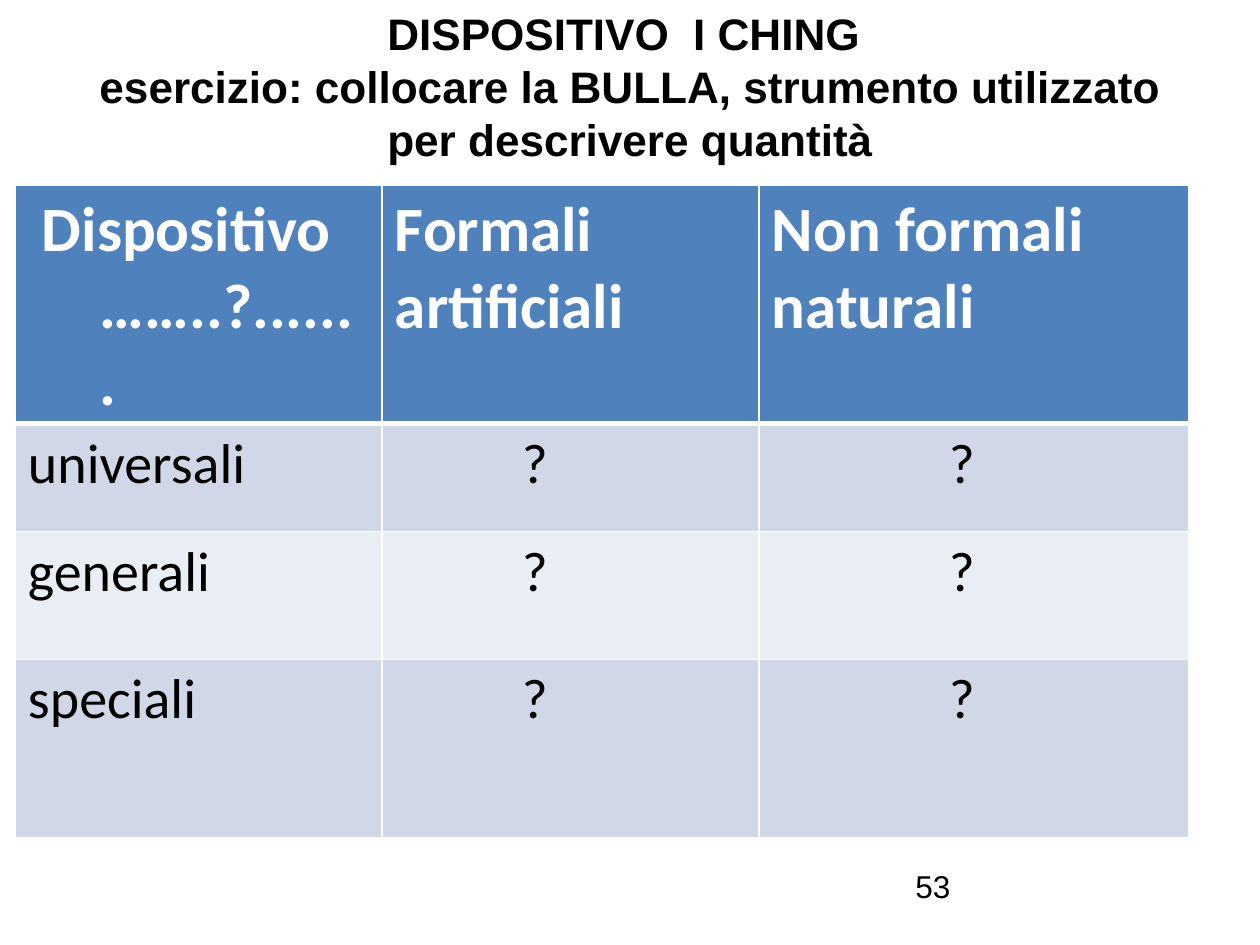
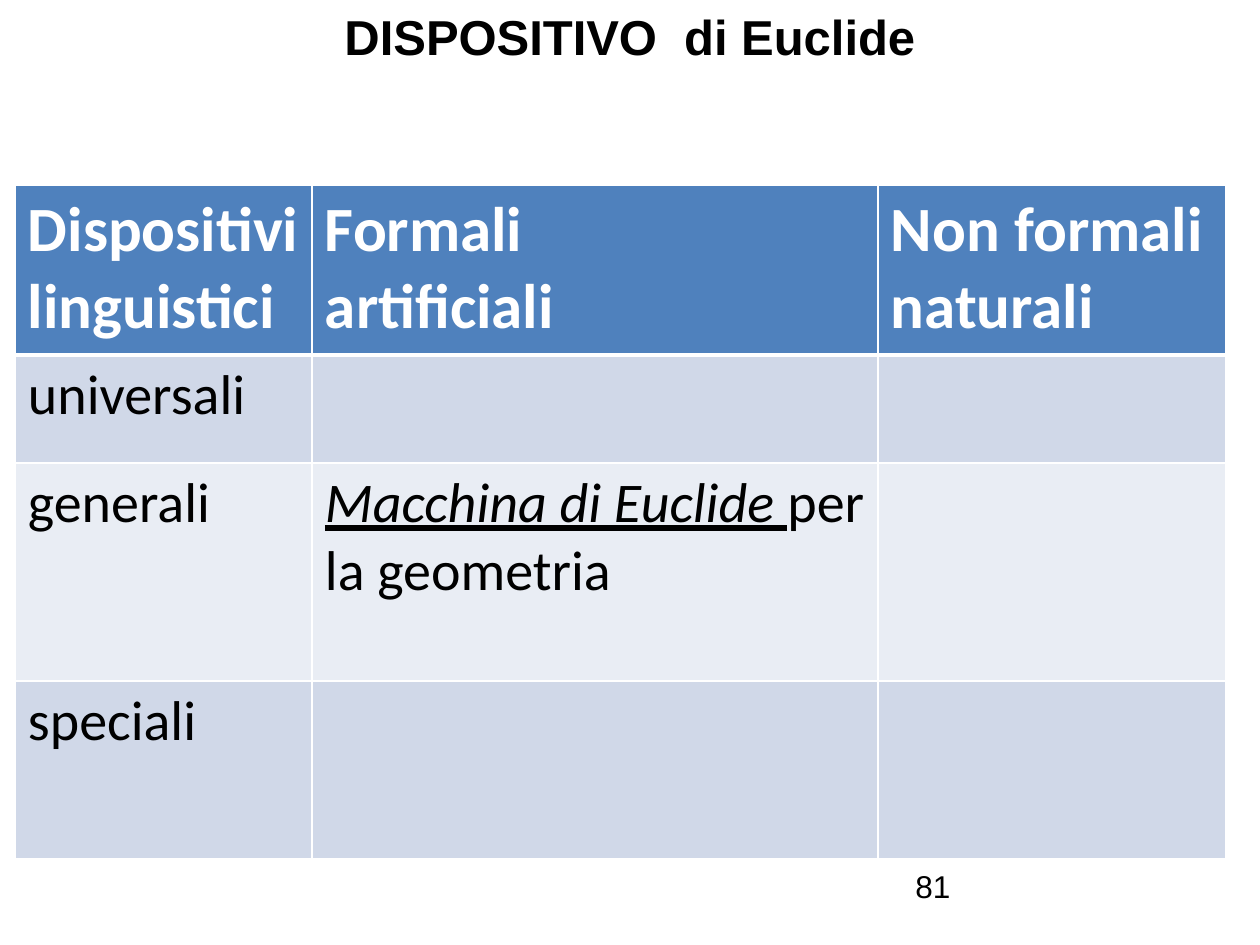
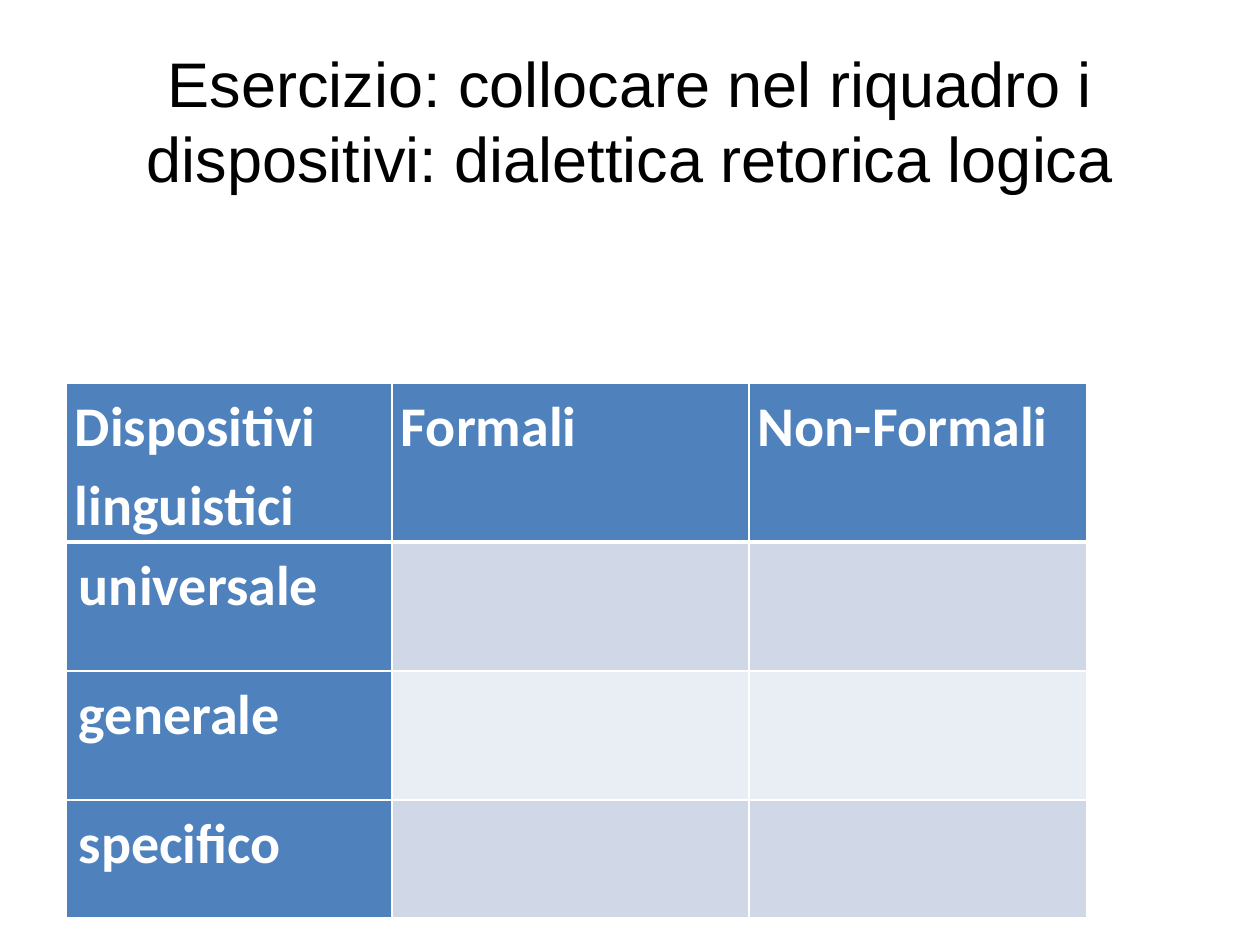
from lxml import etree
from pptx import Presentation
from pptx.dml.color import RGBColor
from pptx.enum.text import MSO_ANCHOR, PP_ALIGN
from pptx.oxml.ns import qn
from pptx.util import Emu, Pt

TOP = MSO_ANCHOR.TOP
LEFT, CENTER = PP_ALIGN.LEFT, PP_ALIGN.CENTER
BLACK, WHITE, BLUE = "000000", "FFFFFF", "4F81BD"
BANDS = ["D0D8E8", "E9EDF4"]
EMPHASIS = "Macchina di Euclide "


def px(length):
    return Emu(round(length * 914400 / 126))


def rgb(color):
    return RGBColor.from_string(color)


# Row and column lengths are px; indents map (row, column) to (left margin, first line)
question_indents = {(row, column): (margin, 0)
                    for row in (1, 2, 3) for column, margin in ((1, 127), (2, 177))}
slides = [
    dict(title="DISPOSITIVO  I CHING \vesercizio: collocare la BULLA, "
               "strumento utilizzato per descrivere quantità",
         title_box=(63, 0, 1134, 106), title_size=25.2, title_bold=True, number="53",
         corner=(15, 185), columns=[367, 377, 430], rows=[170, 108, 128, 178],
         header_size=36, margins=(13, 6), spacing=1.0, label_column=False,
         indents={(0, 0): (72, -58), **question_indents},
         cells=[["Dispositivo ……..?.......", "Formali\nartificiali", "Non formali\nnaturali"],
                ["universali", "?", "?"],
                ["generali", "?", "?"],
                ["speciali", "?", "?"]]),
    dict(title="DISPOSITIVO  di Euclide",
         title_box=(63, 0, 1134, 106), title_size=28, title_bold=True, number="81",
         corner=(15, 185), columns=[297, 566, 348], rows=[170, 108, 218, 178],
         header_size=36, margins=(13, 6), spacing=1.0, label_column=False, indents={},
         cells=[["Dispositivi linguistici", "Formali\nartificiali", "Non formali\nnaturali"],
                ["universali", "", ""],
                ["generali", EMPHASIS + "per la geometria", ""],
                ["speciali", "", ""]]),
    dict(title="Esercizio: collocare nel riquadro i dispositivi: dialettica retorica logica",
         title_box=(63, 38, 1134, 158), title_size=36, title_bold=False, number="",
         corner=(66, 383), columns=[326, 357, 338], rows=[159, 129, 129, 118],
         header_size=32, margins=(9, 0), spacing=1.15, label_column=True,
         indents={(row, 0): (4, 0) for row in (1, 2, 3)},
         cells=[["Dispositivi linguistici", "Formali", "Non-Formali"],
                ["universale", "", ""],
                ["generale", "", ""],
                ["specifico", "", ""]]),
]

presentation = Presentation()
presentation.slide_width, presentation.slide_height = px(1260), px(945)

for content in slides:
    slide = presentation.slides.add_slide(presentation.slide_layouts[6])

    # Title and page number
    texts = [(content["title"], content["title_box"], content["title_size"],
              content["title_bold"], CENTER)]
    if content["number"]:
        texts.append((content["number"], (903, 861, 294, 66), 18, False, LEFT))
    for text, box, size, bold, alignment in texts:
        frame = slide.shapes.add_textbox(*map(px, box)).text_frame
        frame.word_wrap = True
        frame.vertical_anchor = TOP
        paragraph = frame.paragraphs[0]
        paragraph.text = text
        paragraph.alignment = alignment
        font = paragraph.font
        font.name, font.size, font.bold = "Arial", Pt(size), bold
        font.color.rgb = rgb(BLACK)

    # Table grid
    columns, rows = content["columns"], content["rows"]
    left, top = content["corner"]
    table = slide.shapes.add_table(len(rows), len(columns), px(left), px(top),
                                   px(sum(columns)), px(sum(rows))).table
    table.first_row = table.horz_banding = False
    for column, width in zip(table.columns, columns):
        column.width = px(width)
    for row, height in zip(table.rows, rows):
        row.height = px(height)

    for row_index, row_texts in enumerate(content["cells"]):
        for column_index, text in enumerate(row_texts):
            cell = table.cell(row_index, column_index)
            side, edge = content["margins"]
            cell.margin_left = cell.margin_right = px(side)
            cell.margin_top = cell.margin_bottom = px(edge)

            # White borders, thick under the header
            properties = cell._tc.get_or_add_tcPr()
            for name in ("lnL", "lnR", "lnT", "lnB"):
                thick = (row_index, name) in ((0, "lnB"), (1, "lnT"))
                line = etree.SubElement(properties, qn(f"a:{name}"), w=str(Pt(3 if thick else 1)))
                line_fill = etree.SubElement(line, qn("a:solidFill"))
                etree.SubElement(line_fill, qn("a:srgbClr"), val=WHITE)

            # Header and label cells are blue, the others banded
            is_header = row_index == 0
            is_blue = is_header or (content["label_column"] and column_index == 0)
            cell.fill.solid()
            cell.fill.fore_color.rgb = rgb(BLUE if is_blue else BANDS[(row_index - 1) % 2])

            # Cell text
            cell.text = text
            for paragraph in cell.text_frame.paragraphs:
                if text.startswith(EMPHASIS):
                    paragraph.clear()
                    emphasis = paragraph.add_run()
                    emphasis.text = EMPHASIS
                    emphasis.font.italic = emphasis.font.underline = True
                    paragraph.add_run().text = text.removeprefix(EMPHASIS)
                paragraph.line_spacing = content["spacing"]
                if (row_index, column_index) in content["indents"]:
                    margin, first_line = content["indents"][row_index, column_index]
                    paragraph_properties = paragraph._p.get_or_add_pPr()
                    paragraph_properties.set("marL", str(px(margin)))
                    paragraph_properties.set("indent", str(px(first_line)))
                font = paragraph.font
                font.name, font.bold = "Calibri", is_blue
                font.size = Pt(content["header_size"] if is_header else 32)
                font.color.rgb = rgb(WHITE if is_blue else BLACK)

presentation.save("out.pptx")
